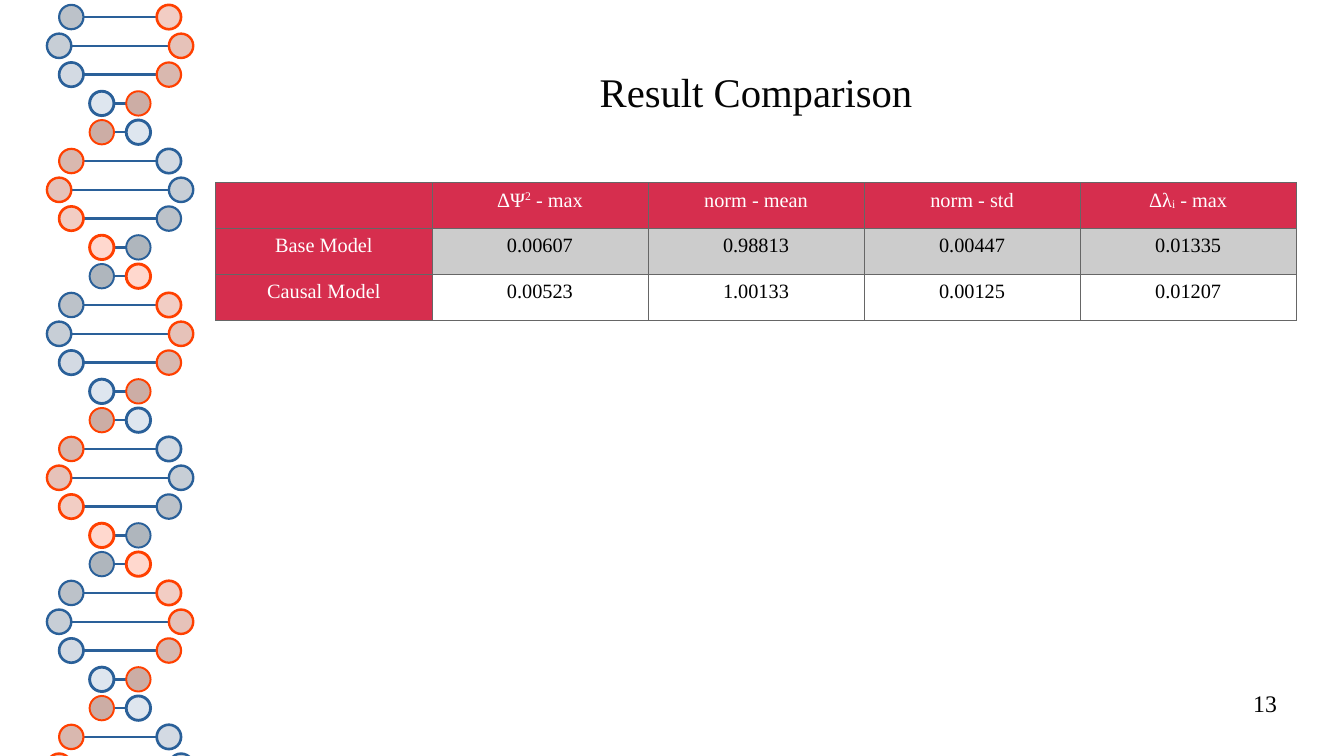
from lxml import etree
from pptx import Presentation
from pptx import util as u
from pptx.dml.color import RGBColor
from pptx.enum import shapes, text
from pptx.oxml import ns

FONT = "Times New Roman"
COLORS = {
    "blue": "2A6099", "orange": "FF4000", "header": "D62E4E", "band": "CCCCCC",
    "white": "FFFFFF", "black": "000000", "title": "050505", "border": "666666",
}
# Beads from the far side of the helix to the near side
BEAD_FILLS = {
    "blue": ["AFB6BD", "BCC2C9", "C7CED6", "D3DAE3", "DEE6EF"],
    "orange": ["CCADA5", "D9B8AF", "E6C2B9", "F2CDC4", "FFD8CE"],
}
BEAD_LINES = [1.13, 1.28, 1.42, 1.56, 1.7]
# One turn of the blue strand: offset from the axis in inches, depth
BLUE_TURN = [
    (-0.4, 1), (-0.5, 2), (-0.4, 3), (-0.15, 4), (0.15, 4),
    (0.4, 3), (0.5, 2), (0.4, 1), (0.15, 0), (-0.15, 0),
]

# Each cell is a list of (text, baseline in percent)
RESULTS = [
    [[], [("ΔΨ", 0), ("2", 33), (" - max", 0)], [("norm - mean", 0)],
     [("norm - std", 0)], [("Δλ", 0), ("i", -8), (" - max", 0)]],
    [[(value, 0)] for value in
     ("Base Model", "0.00607", "0.98813", "0.00447", "0.01335")],
    [[(value, 0)] for value in
     ("Causal Model", "0.00523", "1.00133", "0.00125", "0.01207")],
]


def rgb(name):
    return RGBColor.from_string(COLORS[name])


def style_font(font, size, color):
    font.name = FONT
    font.size = u.Pt(size)
    font.bold = False
    font.color.rgb = rgb(color)


def add_bead(helix, x, y, size, strand, depth):
    bead = helix.shapes.add_shape(
        shapes.MSO_SHAPE.OVAL, u.Inches(x - size / 2), u.Inches(y - size / 2),
        u.Inches(size), u.Inches(size))
    bead.shadow.inherit = False
    bead.fill.solid()
    bead.fill.fore_color.rgb = RGBColor.from_string(BEAD_FILLS[strand][depth])
    bead.line.color.rgb = rgb(strand)
    bead.line.width = u.Pt(BEAD_LINES[depth])


def add_rung(helix, left, right, y):
    rung = helix.shapes.add_connector(
        shapes.MSO_CONNECTOR.STRAIGHT, u.Inches(left), u.Inches(y),
        u.Inches(right), u.Inches(y))
    rung.line.color.rgb = rgb("blue")
    rung.line.width = u.Pt(1.42)
    etree.SubElement(rung._element.spPr, ns.qn("a:effectLst"))


def add_helix(slide, left, top, width, height, rows=27, bead=0.2):
    """Double helix running down the box, its last row cut by the slide edge."""
    helix = slide.shapes.add_group_shape()
    axis = left + width / 2
    pitch = (height - bead) / (rows - 1)
    for row in range(rows):
        offset, depth = BLUE_TURN[row % len(BLUE_TURN)]
        y = top + bead / 2 + row * pitch
        reach = abs(offset) - bead / 2
        if row < rows - 1:
            add_rung(helix, axis - reach, axis + reach, y)
        add_bead(helix, axis + offset, y, bead, "blue", depth)
        add_bead(helix, axis - offset, y, bead, "orange", 4 - depth)


def add_title(slide, left, top, width, height):
    title = slide.shapes.title
    title.left, title.top = u.Inches(left), u.Inches(top)
    title.width, title.height = u.Inches(width), u.Inches(height)
    frame = title.text_frame
    frame.text = "Result Comparison"
    frame.margin_left = frame.margin_right = 0
    frame.margin_top = frame.margin_bottom = 0
    frame.vertical_anchor = text.MSO_ANCHOR.MIDDLE
    frame.paragraphs[0].alignment = text.PP_ALIGN.CENTER
    style_font(frame.paragraphs[0].runs[0].font, 24, "title")


def add_borders(cell):
    properties = cell._tc.get_or_add_tcPr()
    for side in ("lnL", "lnR", "lnT", "lnB"):
        border = etree.SubElement(
            properties, ns.qn(f"a:{side}"), w=str(u.Pt(0.57)))
        fill = etree.SubElement(border, ns.qn("a:solidFill"))
        etree.SubElement(fill, ns.qn("a:srgbClr"), val=COLORS["border"])


def fill_cell(cell, pieces, background, color):
    add_borders(cell)
    cell.fill.solid()
    cell.fill.fore_color.rgb = rgb(background)
    cell.margin_left = cell.margin_right = u.Inches(0.04)
    cell.margin_top = cell.margin_bottom = u.Inches(0.05)
    paragraph = cell.text_frame.paragraphs[0]
    paragraph.alignment = text.PP_ALIGN.CENTER
    for words, baseline in pieces:
        run = paragraph.add_run()
        run.text = words
        style_font(run.font, 12, color)
        if baseline:
            run.font._element.set("baseline", str(baseline * 1000))
    if not pieces:
        # Keeps the empty corner cell as low as its row
        etree.SubElement(paragraph._p, ns.qn("a:endParaRPr"), sz="1200")


def add_results(slide, left, top, width, height):
    rows, columns = len(RESULTS), len(RESULTS[0])
    results = slide.shapes.add_table(
        rows, columns, u.Inches(left), u.Inches(top),
        u.Inches(width), u.Inches(height)).table
    results.first_col = True
    results.horz_banding = False
    for r, row in enumerate(RESULTS):
        for c, pieces in enumerate(row):
            if r == 0 or c == 0:
                background, color = "header", "white"
            else:
                background, color = ("band" if r % 2 else "white"), "black"
            fill_cell(results.cell(r, c), pieces, background, color)


def add_page_number(slide, left, top, width, height):
    frame = slide.shapes.add_textbox(
        u.Inches(left), u.Inches(top),
        u.Inches(width), u.Inches(height)).text_frame
    frame.word_wrap = True
    frame.margin_left = frame.margin_right = 0
    frame.margin_top = frame.margin_bottom = 0
    frame.text = "13"
    frame.paragraphs[0].alignment = text.PP_ALIGN.RIGHT
    style_font(frame.paragraphs[0].runs[0].font, 14, "black")


def main():
    deck = Presentation()
    deck.slide_width, deck.slide_height = u.Inches(11.02), u.Inches(6.2)
    slide = deck.slides.add_slide(deck.slide_layouts[5])
    add_helix(slide, 0.39, 0.04, 1.19, 6.34)
    add_results(slide, 1.77, 1.5, 8.86, 1.13)
    add_title(slide, 1.77, 0.24, 8.86, 1.02)
    add_page_number(slide, 7.9, 5.65, 2.57, 0.43)
    deck.save("out.pptx")


if __name__ == "__main__":
    main()
